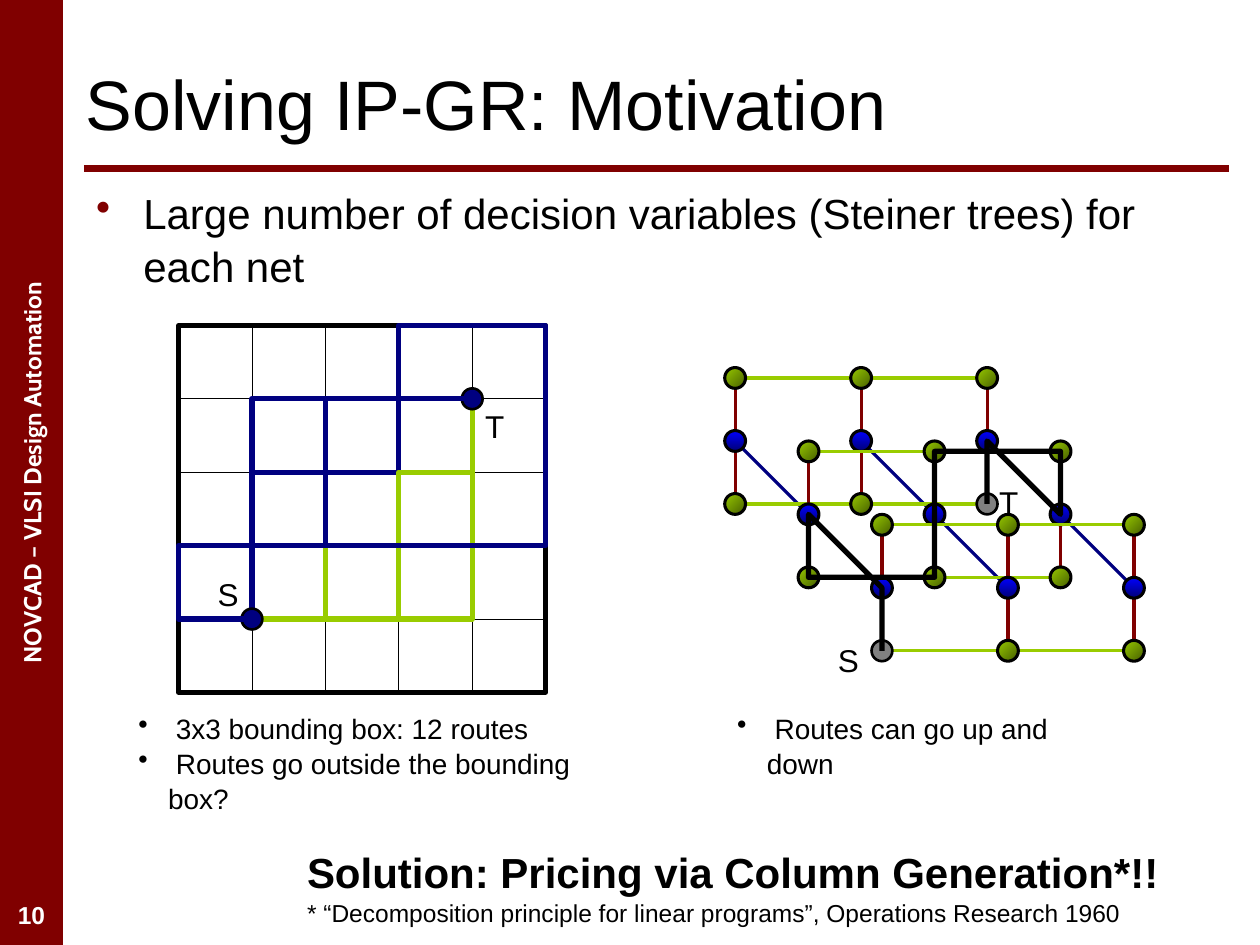
from lxml import etree
from pptx import Presentation
from pptx.dml.color import RGBColor
from pptx.enum.shapes import MSO_CONNECTOR as CONN, MSO_SHAPE as SHAPE
from pptx.enum.text import MSO_ANCHOR as ANCHOR, PP_ALIGN as ALIGN
from pptx.oxml.ns import qn
from pptx.util import Cm, Pt

HEX = {"maroon": "800000", "navy": "000080", "green": "99CC00", "dark green": "475E00",
       "blue": "0000FF", "dark blue": "000076", "gray": "808080", "black": "000000",
       "white": "FFFFFF"}
COLOR = {name: RGBColor.from_string(value) for name, value in HEX.items()}

prs = Presentation()
prs.slide_width, prs.slide_height = Cm(25.4), Cm(19.05)
s = prs.slides.add_slide(prs.slide_layouts[6])


def add_text(box, paras, bullet=None, hang=0.6, color="black", wrap=True):
    """Text box at box (cm); each paragraph is (text, size, bold)."""
    sp = s.shapes.add_textbox(*[Cm(v) for v in box])
    tf = sp.text_frame
    tf.word_wrap = wrap
    for i, (text, size, bold) in enumerate(paras):
        p = tf.paragraphs[0] if i == 0 else tf.add_paragraph()
        p.line_spacing = 1.05
        r = p.add_run()
        r.text = text
        r.font.name, r.font.size, r.font.bold = "Arial", Pt(size), bold
        r.font.color.rgb = COLOR[color]
        if bullet:
            pPr = p._p.get_or_add_pPr()
            pPr.set("marL", str(Cm(hang)))
            pPr.set("indent", str(-Cm(hang)))
            clr = etree.SubElement(pPr, qn("a:buClr"))
            etree.SubElement(clr, qn("a:srgbClr"), val=HEX[bullet])
            etree.SubElement(pPr, qn("a:buChar"), char="•")
    return tf


def add_path(points, color, width):
    """Connector for two points (cm), open freeform for more."""
    pts = [(Cm(x), Cm(y)) for x, y in points]
    if len(pts) == 2:
        sp = s.shapes.add_connector(CONN.STRAIGHT, *pts[0], *pts[1])
        etree.SubElement(sp._element.spPr, qn("a:effectLst"))
    else:
        fb = s.shapes.build_freeform(*pts[0])
        fb.add_line_segments(pts[1:], close=False)
        sp = fb.convert_to_shape()
        sp.fill.background()
        sp.shadow.inherit = False
    sp.line.color.rgb = COLOR[color]
    sp.line.width = Pt(width)


# Sidebar, slide number and title rule
bar = s.shapes.add_shape(SHAPE.RECTANGLE, Cm(-8.89), Cm(8.89), Cm(19.05), Cm(1.27))
bar.rotation = 270
bar.shadow.inherit = False
bar.fill.solid()
bar.fill.fore_color.rgb = COLOR["maroon"]
bar.line.fill.background()
tf = bar.text_frame
tf.vertical_anchor = ANCHOR.MIDDLE
p = tf.paragraphs[0]
p.alignment = ALIGN.CENTER
r = p.add_run()
r.text = "NOVCAD – VLSI Design Automation"
r.font.name, r.font.size, r.font.bold = "Cabin", Pt(14), True
r.font.color.rgb = COLOR["white"]
tf = add_text((0, 17.98, 1.27, 0.85), [("10", 14, True)], color="white")
tf.paragraphs[0].alignment = ALIGN.CENTER
add_path([(1.69, 3.39), (24.77, 3.39)], "maroon", 4)

# Title and main bullet
tf = add_text((1.48, 0.64, 23.28, 2.75), [("Solving IP-GR: Motivation", 40, False)])
tf.vertical_anchor = ANCHOR.MIDDLE
add_text((1.69, 3.6, 23.28, 14.82),
         [("Large number of decision variables (Steiner trees) for each net", 24, False)],
         bullet="maroon", hang=0.95)

# Layered routing graph: 3 layers of 3 x 3 nodes
LAYER, COL, ROW, DOT = 1.48, 2.54, 1.27, 0.42
node = {(l, c, r): (14.82 + COL * c + LAYER * l, 7.62 + ROW * r + LAYER * l)
        for l in range(3) for c in range(3) for r in range(3)}
terminals = [(2, 0, 2), (0, 2, 2)]
for l in range(2):
    for c in range(3):
        add_path([node[l, c, 1], node[l + 1, c, 1]], "navy", 1.75)
for l in range(3):
    for c in range(3):
        add_path([node[l, c, 0], node[l, c, 2]], "maroon", 1.75)
    for r in (0, 2):
        for c in range(2):
            add_path([node[l, c, r], node[l, c + 1, r]], "green", 1.75)
    for c in range(3):
        for r in range(3):
            x, y = node[l, c, r]
            sp = s.shapes.add_shape(SHAPE.OVAL, Cm(x - DOT / 2), Cm(y - DOT / 2), Cm(DOT), Cm(DOT))
            sp.shadow.inherit = False
            sp.line.color.rgb = COLOR["black"]
            sp.line.width = Pt(1.75)
            if (l, c, r) in terminals:
                sp.line.width = Pt(1.5)
                sp.fill.solid()
                sp.fill.fore_color.rgb = COLOR["gray"]
                continue
            hue, angle = ("blue", 270) if r == 1 else ("green", 315)
            sp.fill.gradient()
            sp.fill.gradient_angle = angle
            for stop, name in zip(sp.fill.gradient_stops, (hue, "dark " + hue)):
                stop.color.rgb = COLOR[name]
up_down = [(2, 0, 2), (2, 0, 1), (1, 0, 1), (1, 0, 2), (1, 1, 2),
           (1, 1, 0), (1, 2, 0), (1, 2, 1), (0, 2, 1), (0, 2, 2)]
add_path([node[key] for key in up_down], "black", 3)

# Flat 5 x 5 grid with the 3 x 3 bounding box
CELL, N = 1.48, 5
grid = {(c, r): (3.6 + CELL * c, 6.56 + CELL * r) for c in range(N + 1) for r in range(N + 1)}
for i in range(1, N):
    add_path([grid[i, 0], grid[i, N]], "black", 0.5)
    add_path([grid[0, i], grid[N, i]], "black", 0.5)
for first, size in ((0, 5), (1, 3)):
    x, y = grid[first, first]
    sp = s.shapes.add_shape(SHAPE.RECTANGLE, Cm(x), Cm(y), Cm(CELL * size), Cm(CELL * size))
    sp.shadow.inherit = False
    sp.fill.background()
    sp.line.color.rgb = COLOR["black"]
    sp.line.width = Pt(2.5)

# Routes from S to T, given by their corners
S, T = (1, 4), (4, 1)
routes = [
    ("navy", [(1, 1)]),
    ("green", [(4, 4)]),
    ("navy", [(1, 2), (2, 2), (2, 1)]),
    ("green", [(3, 4), (3, 3), (4, 3)]),
    ("navy", [(1, 3), (2, 3), (2, 1)]),
    ("green", [(2, 4), (2, 3), (4, 3)]),
    ("navy", [(1, 2), (3, 2), (3, 1)]),
    ("green", [(3, 4), (3, 2), (4, 2)]),
]
for color, corners in routes:
    add_path([grid[key] for key in [S, *corners, T]], color, 3)
for key in (S, T):
    x, y = grid[key]
    sp = s.shapes.add_shape(SHAPE.OVAL, Cm(x - DOT / 2), Cm(y - DOT / 2), Cm(DOT), Cm(DOT))
    sp.shadow.inherit = False
    sp.fill.solid()
    sp.fill.fore_color.rgb = COLOR["navy"]
    sp.line.color.rgb = COLOR["black"]
    sp.line.width = Pt(1.5)
detour = [S, (0, 4), (0, 3), (5, 3), (5, 0), (3, 0), (3, 1), T]
add_path([grid[key] for key in detour], "navy", 3)

# Terminal labels
for label, x, y in (("S", 4.14, 11.43), ("T", 9.53, 8.04), ("S", 16.64, 12.75), ("T", 19.89, 9.58)):
    add_text((x, y, 0.92, 1.02), [(label, 18, False)], wrap=False)

# Captions and conclusion
add_text((2.54, 14.18, 10.21, 1.63),
         [(" 3x3 bounding box: 12 routes", 16, False),
          (" Routes go outside the bounding box?", 16, False)], bullet="black")
add_text((14.61, 14.18, 8.05, 0.94), [(" Routes can go up and down", 16, False)], bullet="black")
add_text((5.94, 16.89, 17.83, 1.88),
         [("Solution: Pricing via Column Generation*!!", 24, True),
          ("* “Decomposition principle for linear programs”, Operations Research 1960", 14, False)],
         wrap=False)

prs.save("out.pptx")
